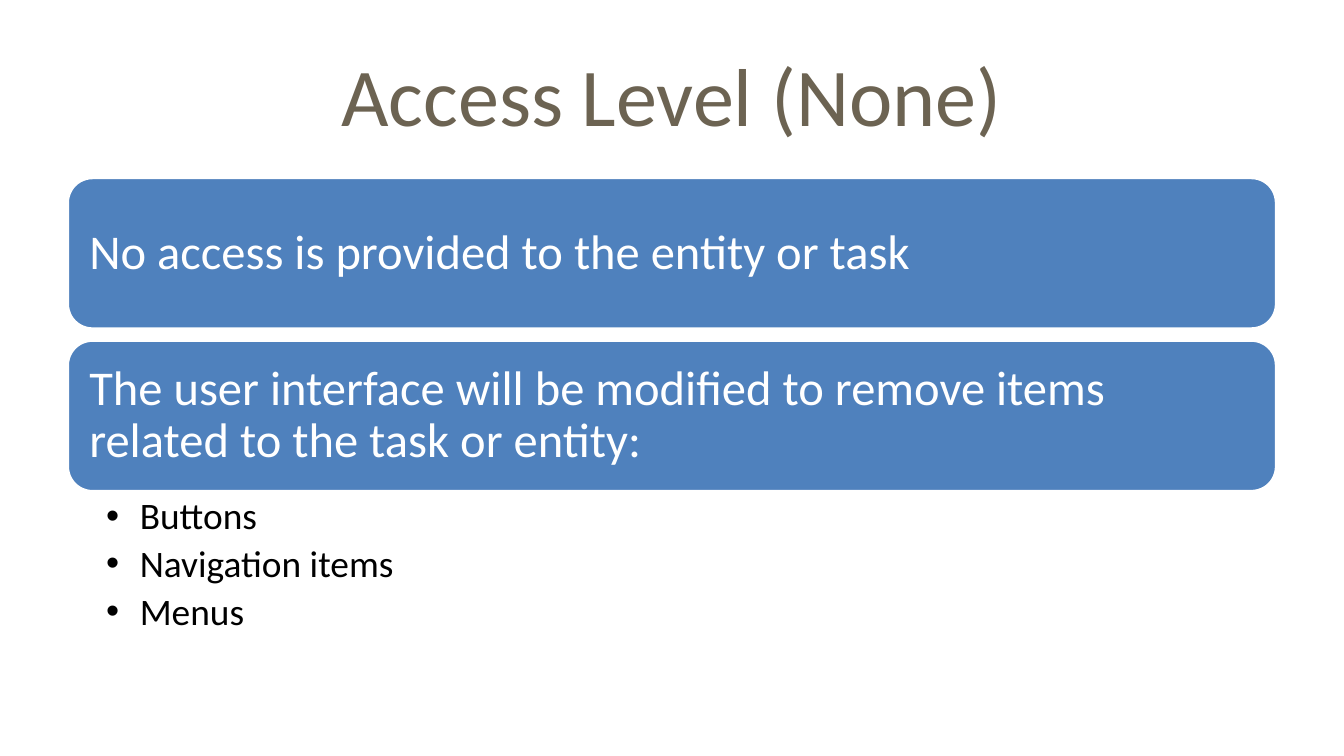
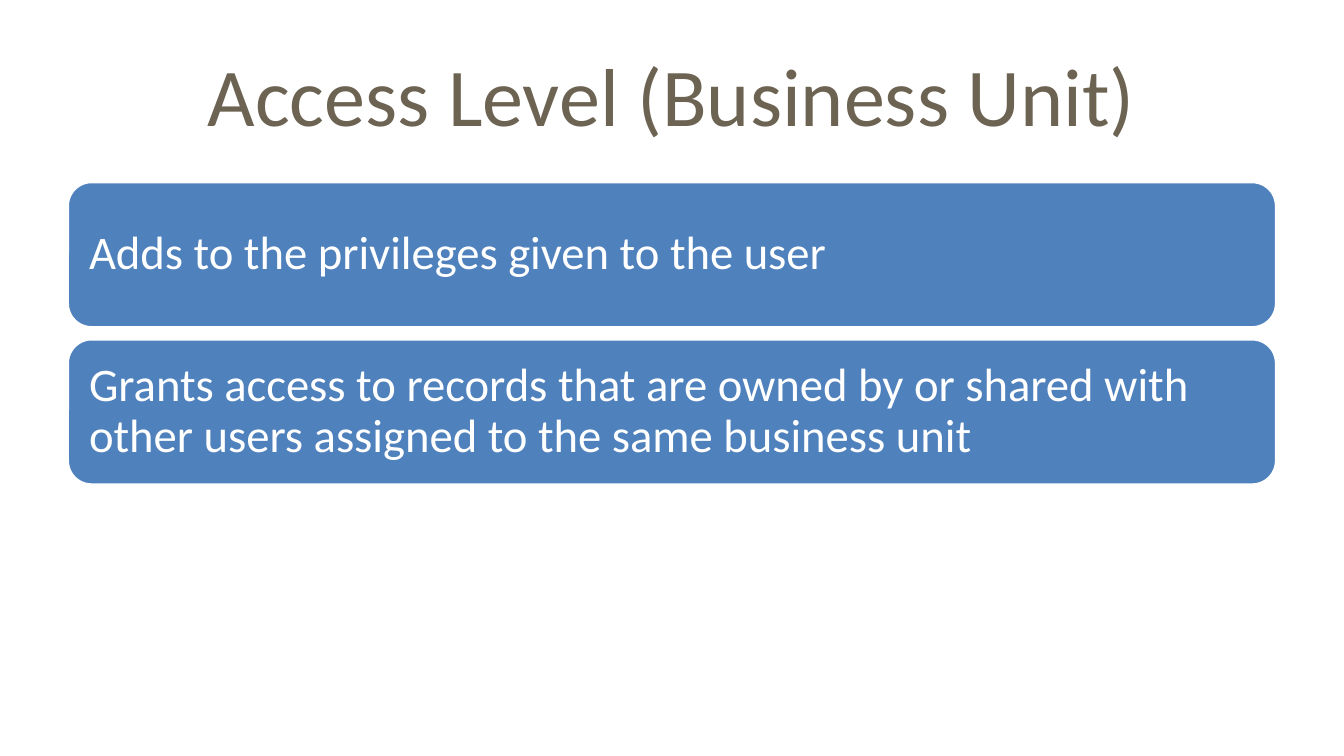
from lxml import etree
from pptx import Presentation
from pptx.dml.color import RGBColor
from pptx.enum import shapes, text
from pptx.oxml import ns
from pptx.util import Inches, Pt

FONT = "Calibri"
WHITE = RGBColor(0xFF, 0xFF, 0xFF)
BLACK = RGBColor(0x00, 0x00, 0x00)
BLUE = RGBColor(0x4F, 0x81, 0xBD)
TAUPE = RGBColor(0x6C, 0x63, 0x52)

SLIDE_WIDTH = Inches(10)
SLIDE_HEIGHT = SLIDE_WIDTH * 9 // 16
TITLE_AND_BODY, TITLE_ONLY = 1, 5
LEFT, WIDTH, GAP = 0.5, 9, 0.08
TITLE_BOX = (LEFT, 0.23, WIDTH, 0.94)

SLIDES = [
    {
        "title": "Access Level (None)",
        "top": 1.32, "height": 1.13, "size": 26,
        "statements": [
            "No access is provided to the entity or task",
            "The user interface will be modified to remove items related to the task or entity:",
        ],
        "bullets": ["Buttons", "Navigation items", "Menus"],
    },
    {
        "title": "Access Level (Business Unit)",
        "top": 1.35, "height": 1.09, "size": 25,
        "statements": [
            "Adds to the privileges given to the user",
            "Grants access to records that are owned by or shared with other users "
            "assigned to the same business unit",
        ],
        "bullets": [],
    },
]


def set_attributes(target, values):
    for name, value in values.items():
        setattr(target, name, value)


def place(shape, box):
    names = ("left", "top", "width", "height")
    set_attributes(shape, dict(zip(names, map(Inches, box))))


def format_frame(frame, insets, anchor):
    """Set insets (left, top, right, bottom) and the vertical anchor."""
    names = ("margin_left", "margin_top", "margin_right", "margin_bottom")
    set_attributes(frame, dict(zip(names, map(Inches, insets))))
    set_attributes(frame, {
        "word_wrap": True,
        "auto_size": text.MSO_AUTO_SIZE.NONE,
        "vertical_anchor": anchor,
    })


def write_paragraph(paragraph, wording, size, color, **layout):
    run = paragraph.add_run()
    run.text = wording
    set_attributes(run.font, {"name": FONT, "size": Pt(size)})
    run.font.color.rgb = color
    set_attributes(paragraph, layout)


def add_bullet(paragraph, indent):
    properties = paragraph._p.get_or_add_pPr()
    properties.set("marL", str(Inches(indent)))
    properties.set("indent", str(Inches(-indent)))
    etree.SubElement(properties, ns.qn("a:buFont"), typeface="Arial")
    etree.SubElement(properties, ns.qn("a:buChar"), char="•")


def fill_title(slide, wording, box):
    title = slide.shapes.title
    place(title, box)
    format_frame(title.text_frame, (0.1, 0.05, 0.1, 0.05), text.MSO_ANCHOR.MIDDLE)
    write_paragraph(title.text_frame.paragraphs[0], wording, 44, TAUPE,
                    alignment=text.PP_ALIGN.CENTER)


def add_statement(slide, wording, box, size):
    panel = slide.shapes.add_shape(shapes.MSO_SHAPE.ROUNDED_RECTANGLE,
                                   *map(Inches, box))
    panel.shadow.inherit = False
    panel.fill.solid()
    panel.fill.fore_color.rgb = BLUE
    panel.line.color.rgb = WHITE
    panel.line.width = Pt(2)
    format_frame(panel.text_frame, (0.11, 0.1, 0.11, 0.1), text.MSO_ANCHOR.MIDDLE)
    write_paragraph(panel.text_frame.paragraphs[0], wording, size, WHITE,
                    alignment=text.PP_ALIGN.LEFT, line_spacing=0.9,
                    space_after=Pt(9))


def fill_bullets(slide, items, box):
    body = slide.placeholders[1]
    place(body, box)
    frame = body.text_frame
    format_frame(frame, (0.29, 0.04, 0.2, 0.04), text.MSO_ANCHOR.TOP)
    for index, item in enumerate(items):
        paragraph = frame.add_paragraph() if index else frame.paragraphs[0]
        write_paragraph(paragraph, item, 20, BLACK, level=1, line_spacing=0.9,
                        space_before=Pt(0), space_after=Pt(4))
        add_bullet(paragraph, 0.25)


def add_access_slide(presentation, content):
    bullets = content["bullets"]
    layout = TITLE_AND_BODY if bullets else TITLE_ONLY
    slide = presentation.slides.add_slide(presentation.slide_layouts[layout])
    fill_title(slide, content["title"], TITLE_BOX)
    top, height = content["top"], content["height"]
    for wording in content["statements"]:
        add_statement(slide, wording, (LEFT, top, WIDTH, height), content["size"])
        top += height + GAP
    if bullets:
        fill_bullets(slide, bullets, (LEFT, top - GAP, WIDTH, 1.15))


def main():
    presentation = Presentation()
    presentation.slide_width = SLIDE_WIDTH
    presentation.slide_height = SLIDE_HEIGHT
    for content in SLIDES:
        add_access_slide(presentation, content)
    presentation.save("out.pptx")


if __name__ == "__main__":
    main()
